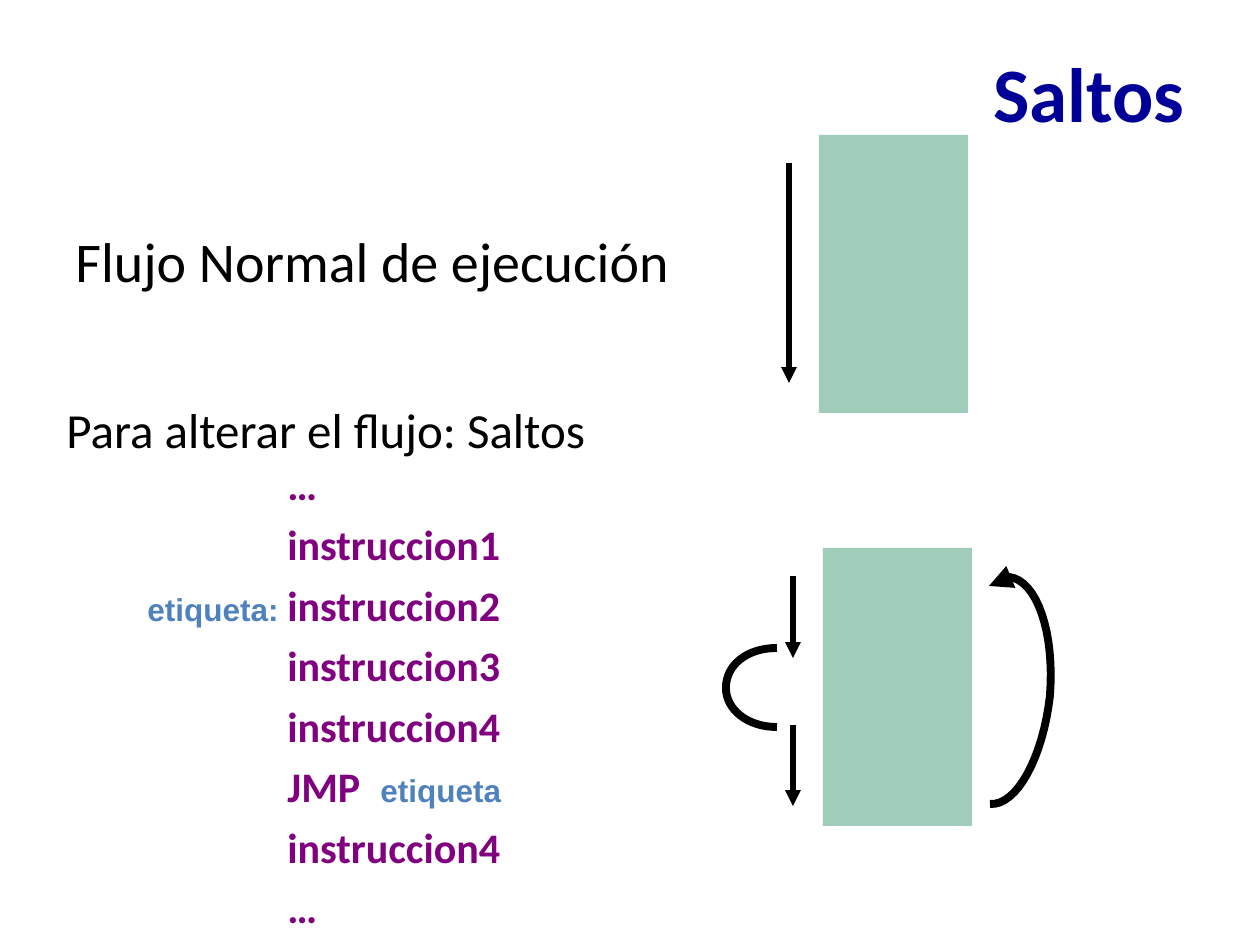
from lxml import etree
from pptx import Presentation, util as u
from pptx.dml.color import RGBColor
from pptx.enum import shapes, text
from pptx.oxml.ns import qn

PX = 914400 / 126
STEPS = 16
PLAIN = {"name": "Calibri", "bold": False}
TITLE = {"name": "Calibri", "size": u.Pt(44), "bold": True}
FLOW = {**PLAIN, "size": u.Pt(32)}
JUMP = {**PLAIN, "size": u.Pt(28)}
CODE = {"name": "Calibri", "size": u.Pt(24), "bold": True}
LABEL = {"name": "Arial", "size": u.Pt(18), "bold": True}
BLACK, PURPLE, BLUE, NAVY, GREEN = "000000", "800080", "4F81BD", "000099", "9FCDBA"


def px(value):
    return u.Emu(round(value * PX))


def rgb(value):
    return RGBColor.from_string(value)


def apply(target, values):
    for name, value in values.items():
        setattr(target, name, value)


def add_text(slide, box, lines, frame_format, paragraph_format, tabs=()):
    frame = slide.shapes.add_textbox(*map(px, box)).text_frame
    apply(frame, {"word_wrap": True, **frame_format})
    for index, line in enumerate(lines):
        paragraph = frame.add_paragraph() if index else frame.paragraphs[0]
        apply(paragraph, paragraph_format)
        if tabs:
            tab_list = etree.SubElement(paragraph._p.get_or_add_pPr(), qn("a:tabLst"))
            for stop in tabs:
                etree.SubElement(tab_list, qn("a:tab"), pos=str(px(stop)), algn="l")
        for words, font, color in line:
            run = paragraph.add_run()
            run.text = words
            apply(run.font, font)
            run.font.color.rgb = rgb(color)


def add_program(slide, left, top):
    program = slide.shapes.add_shape(
        shapes.MSO_SHAPE.RECTANGLE, *map(px, (left, top, 149, 278)))
    program.shadow.inherit = False
    program.fill.solid()
    program.fill.fore_color.rgb = rgb(GREEN)
    program.line.fill.background()


def style_stroke(stroke, width, arrow):
    stroke.line.color.rgb = rgb(BLACK)
    stroke.line.width = u.Pt(width)
    if arrow:
        etree.SubElement(stroke.line._get_or_add_ln(), qn("a:tailEnd"), type="triangle")


def add_arrow(slide, x, top, bottom):
    arrow = slide.shapes.add_connector(
        shapes.MSO_CONNECTOR.STRAIGHT, *map(px, (x, top, x, bottom)))
    style_stroke(arrow, 3, True)
    etree.SubElement(arrow._element.spPr, qn("a:effectLst"))


def bezier(start, first, second, end):
    for step in range(1, STEPS + 1):
        t = step / STEPS
        weights = ((1 - t) ** 3, 3 * t * (1 - t) ** 2, 3 * t * t * (1 - t), t ** 3)
        yield tuple(
            round(sum(w * p[axis] for w, p in zip(weights, (start, first, second, end))) * PX)
            for axis in (0, 1))


def add_curve(slide, start, segments, arrow=False):
    points, current = [], start
    for segment in segments:
        points.extend(bezier(current, *segment))
        current = segment[-1]
    builder = slide.shapes.build_freeform(*map(px, start))
    builder.add_line_segments(points, close=False)
    curve = builder.convert_to_shape()
    curve.shadow.inherit = False
    curve.fill.background()
    style_stroke(curve, 4.5, arrow)


def main():
    deck = Presentation()
    deck.slide_width, deck.slide_height = px(1260), px(945)
    slide = deck.slides.add_slide(deck.slide_layouts[6])

    add_text(slide, (63, 38, 1134, 107), [[("Saltos", TITLE, NAVY)]],
             {"vertical_anchor": text.MSO_ANCHOR.MIDDLE},
             {"alignment": text.PP_ALIGN.RIGHT})
    add_text(slide, (63, 220, 1133, 113),
             [[("Flujo Normal de ejecución", FLOW, BLACK)]], {}, {})
    add_text(slide, (54, 393, 615, 72),
             [[("Para alterar el flujo: Saltos", JUMP, BLACK)]], {}, {})

    listing = [
        ("", "…", ""),
        ("", "instruccion1", ""),
        ("etiqueta:", "instruccion2", ""),
        ("", "instruccion3", ""),
        ("", "instruccion4", ""),
        ("", "JMP", "etiqueta"),
        ("", "instruccion4", ""),
        ("", "…", ""),
    ]
    code_lines = []
    for label, instruction, target in listing:
        line = [(label + "\t", LABEL if label else CODE, BLUE), (instruction, CODE, PURPLE)]
        if target:
            line.append(("\t" + target, LABEL, BLUE))
        code_lines.append(line)
    add_text(slide, (135, 442, 461, 496), code_lines, {}, {"line_spacing": 1.2},
             tabs=(140, 233))

    add_program(slide, 819, 135)
    add_arrow(slide, 789, 163, 383)

    add_program(slide, 823, 548)
    for top, bottom in ((576, 658), (725, 806)):
        add_arrow(slide, 793, top, bottom)
    add_curve(slide, (777, 648), [
        ((747, 648), (726, 665), (726, 688)),
        ((726, 709), (747, 727), (777, 727)),
    ])
    add_curve(slide, (990, 804), [
        ((1017, 806), (1043, 757), (1050, 696)),
        ((1055, 633), (1037, 580), (1009, 577)),
        ((1003, 577), (995, 580), (989, 586)),
    ], arrow=True)
    deck.save("out.pptx")


if __name__ == "__main__":
    main()
